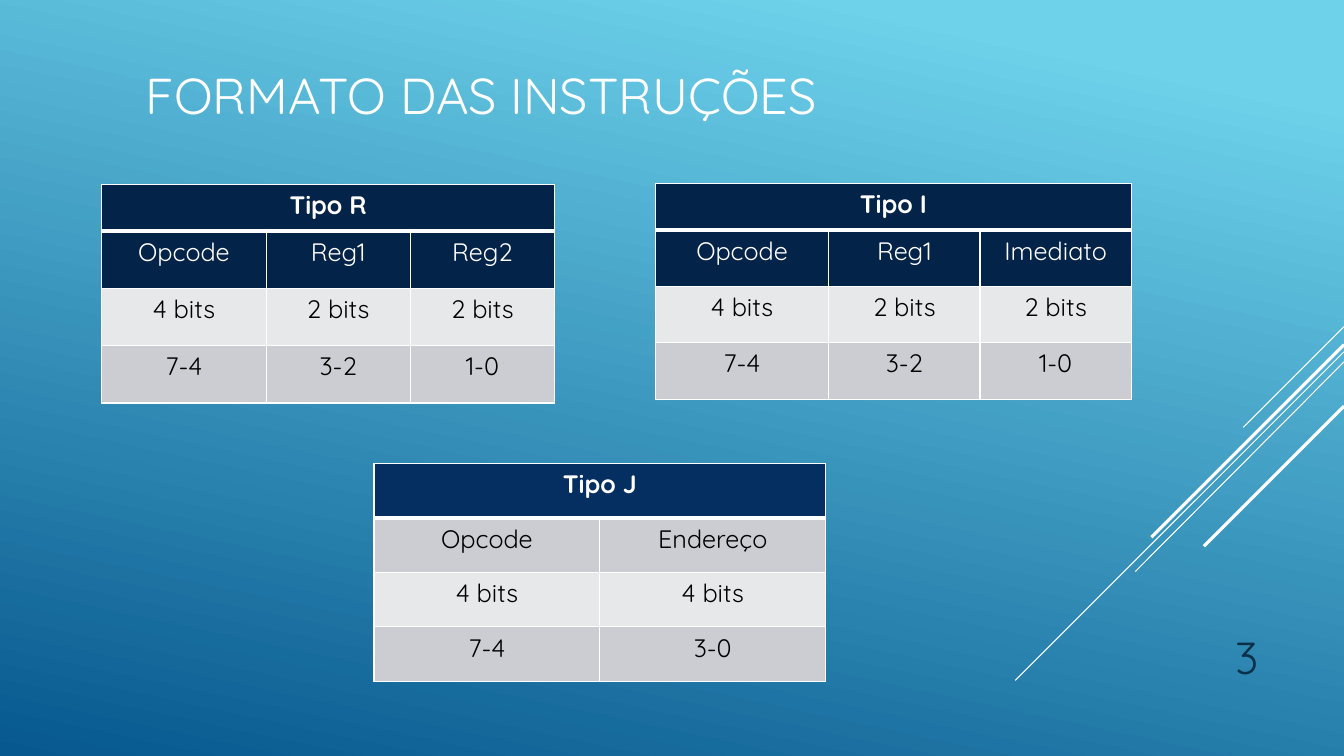
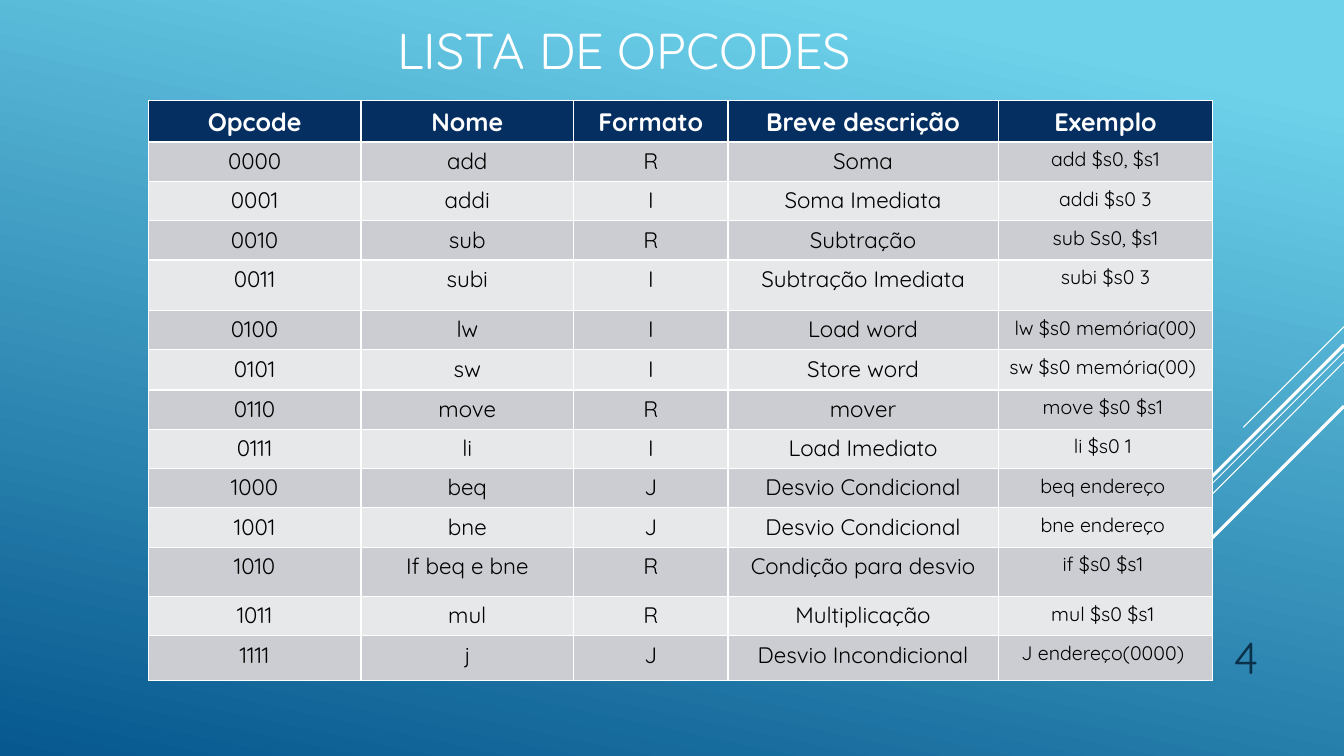
from lxml.etree import SubElement
from pptx import Presentation
from pptx.dml.color import RGBColor
from pptx.enum.shapes import MSO_CONNECTOR as Connector
from pptx.enum.text import MSO_ANCHOR as Anchor, PP_ALIGN as Align
from pptx.oxml.ns import qn
from pptx.util import Pt

PX = 9144  # EMU per px, 100 px to the inch
WIDTH, HEIGHT = 1333, 750

WHITE = RGBColor(0xFF, 0xFF, 0xFF)
BLACK = RGBColor(0x00, 0x00, 0x00)
SKY = RGBColor(0x6E, 0xD2, 0xEB)
OCEAN = RGBColor(0x06, 0x58, 0x8E)
NAVY = RGBColor(0x05, 0x2F, 0x61)
DARK_NAVY = RGBColor(0x04, 0x23, 0x49)
NUMBER_BLUE = RGBColor(0x0A, 0x30, 0x4A)
BANDS = (RGBColor(0xE7, 0xE8, 0xEA), RGBColor(0xCC, 0xCD, 0xD2))

# Diagonal rays from the right edge: start y, end x, end y, weight in points
RAYS = (
    (324, 1233, 424, 0.75),
    (349, 1007, 675, 0.75),
    (359, 1126, 567, 0.75),
    (342, 1142, 533, 2.25),
    (403, 1194, 542, 2.25),
)


class Deck:
    font = "Quicksand"

    def __init__(self):
        self.deck = Presentation()
        self.deck.slide_width = WIDTH * PX
        self.deck.slide_height = HEIGHT * PX
        self.page = None

    def new_page(self, title, title_area, number):
        self.page = self.deck.slides.add_slide(self.deck.slide_layouts[6])
        self.background()
        for start_y, end_x, end_y, weight in RAYS:
            self.line(WIDTH, start_y, end_x, end_y, weight)
        self.text(title_area, title, 36, WHITE, Align.LEFT)
        self.text((1133, 610, 125, 73), number, 32, NUMBER_BLUE, Align.RIGHT)

    def background(self):
        fill = self.page.background.fill
        fill.gradient()
        fill.gradient_angle = 258
        for stop, color, position in zip(fill.gradient_stops, (SKY, OCEAN), (0.1, 1)):
            stop.color.rgb = color
            stop.position = position

    def line(self, start_x, start_y, end_x, end_y, weight):
        line = self.page.shapes.add_connector(
            Connector.STRAIGHT, start_x * PX, start_y * PX, end_x * PX, end_y * PX)
        line.line.color.rgb = WHITE
        line.line.width = Pt(weight)
        SubElement(line._element.spPr, qn("a:effectLst"))

    def text(self, area, words, size, color, align):
        box = self.page.shapes.add_textbox(*(length * PX for length in area))
        box.text_frame.word_wrap = True
        box.text_frame.vertical_anchor = Anchor.BOTTOM
        self.add_span(box.text_frame, words, size, color, align)

    def add_span(self, frame, words, size, color, align, bold=False):
        para = frame.paragraphs[0]
        para.alignment = align
        span = para.add_run()
        span.text = words
        span.font.name = self.font
        span.font.size = Pt(size)
        span.font.bold = bold
        span.font.color.rgb = color

    def borders(self, cell, top, bottom):
        properties = cell._tc.get_or_add_tcPr()
        for side, weight in (("L", 1), ("R", 1), ("T", top), ("B", bottom)):
            edge = SubElement(properties, qn(f"a:ln{side}"), w=str(Pt(weight)))
            solid = SubElement(edge, qn("a:solidFill"))
            SubElement(solid, qn("a:srgbClr"), val=str(WHITE))

    def table(self, left, top, widths, heights, rows, head_fill,
              head_rows=1, sizes=None, rule=3):
        """Banded table; a one-cell first row spans every column."""
        table = self.page.shapes.add_table(
            len(heights), len(widths), left * PX, top * PX,
            sum(widths) * PX, sum(heights) * PX).table
        for column, width in zip(table.columns, widths):
            column.width = width * PX
        for row, height in zip(table.rows, heights):
            row.height = height * PX
        if len(rows[0]) == 1:
            table.cell(0, 0).merge(table.cell(0, len(widths) - 1))

        for r, words in enumerate(rows):
            is_head = r < head_rows
            for c in range(len(widths)):
                cell = table.cell(r, c)
                self.borders(cell, rule if r == 1 else 1, rule if r == 0 else 1)
                cell.fill.solid()
                cell.fill.fore_color.rgb = head_fill if is_head else BANDS[r % 2]
                if c < len(words):
                    size = sizes[c] if sizes and not is_head else 18
                    self.add_span(cell.text_frame, words[c], size,
                                  WHITE if is_head else BLACK, Align.CENTER, r == 0)


# Instruction formats
R_ROWS = (
    ("Tipo R",),
    ("Opcode", "Reg1", "Reg2"),
    ("4 bits", "2 bits", "2 bits"),
    ("7-4", "3-2", "1-0"),
)
I_ROWS = (("Tipo I",), ("Opcode", "Reg1", "Imediato")) + R_ROWS[2:]
J_ROWS = (
    ("Tipo J",),
    ("Opcode", "Endereço"),
    ("4 bits", "4 bits"),
    ("7-4", "3-0"),
)

# Opcode list
OPCODES = (
    ("Opcode", "Nome", "Formato", "Breve descrição", "Exemplo"),
    ("0000", "add", "R", "Soma", "add $s0, $s1"),
    ("0001", "addi", "I", "Soma Imediata", "addi $s0 3"),
    ("0010", "sub", "R", "Subtração", "sub Ss0, $s1"),
    ("0011", "subi", "I", "Subtração Imediata", "subi $s0 3"),
    ("0100", "lw", "I", "Load word", "lw $s0 memória(00)"),
    ("0101", "sw", "I", "Store word", "sw $s0 memória(00) "),
    ("0110", "move", "R", "mover", "move $s0 $s1 "),
    ("0111", "li", "I", "Load Imediato", "li $s0 1 "),
    ("1000", "beq", "J", "Desvio Condicional", "beq endereço "),
    ("1001", "bne", "J", "Desvio Condicional", "bne endereço "),
    ("1010", "If beq e bne", "R", "Condição para desvio", "if $s0 $s1 "),
    ("1011", "mul", "R", "Multiplicação", "mul $s0 $s1 "),
    ("1111", "j", "J", "Desvio Incondicional", "J endereço(0000) "),
)
OPCODE_HEIGHTS = [41, 39, 39, 39, 50, 39, 40, 39, 39, 39, 39, 49, 39, 44]


def main():
    deck = Deck()

    deck.new_page("FORMATO DAS INSTRUÇÕES", (135, 51, 933, 78), "3")
    deck.table(101, 183, [163, 143, 143], [46, 57, 57, 57], R_ROWS, DARK_NAVY, head_rows=2)
    deck.table(650, 182, [172, 150, 150], [46, 56, 56, 56], I_ROWS, DARK_NAVY, head_rows=2)
    deck.table(371, 460, [224, 224], [54] * 4, J_ROWS, NAVY)

    deck.new_page("LISTA DE OPCODES", (384, 8, 482, 76), "4")
    deck.table(147, 100, [211, 211, 153, 268, 213], OPCODE_HEIGHTS, OPCODES, NAVY,
               sizes=(16, 16, 16, 16, 14), rule=2)

    deck.deck.save("out.pptx")


if __name__ == "__main__":
    main()
